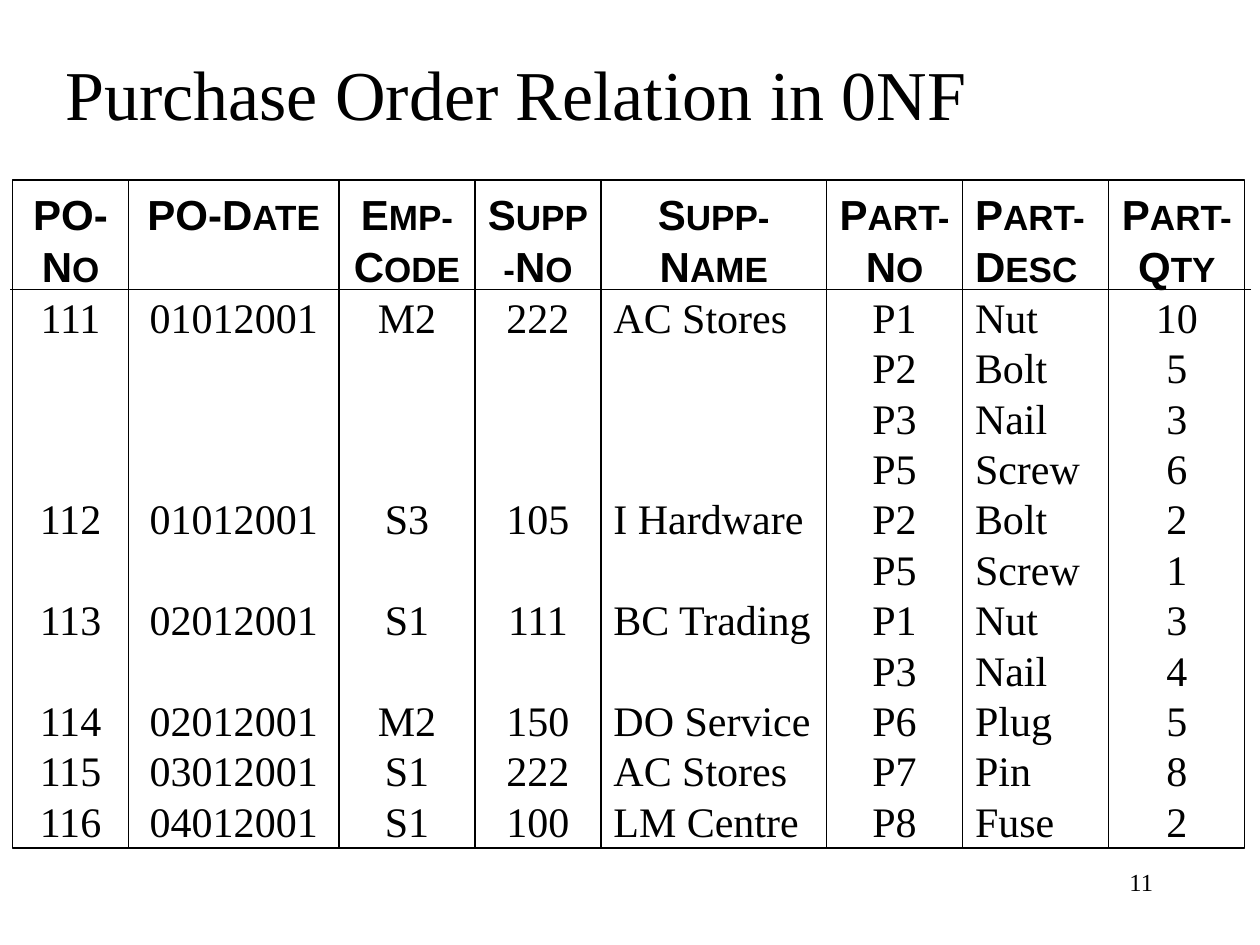
from itertools import cycle
from lxml.etree import SubElement
from pptx import Presentation
from pptx.dml.color import RGBColor
from pptx.enum.shapes import MSO_CONNECTOR as Connector, MSO_SHAPE as Shape
from pptx.enum.text import MSO_ANCHOR as Anchor, MSO_AUTO_SIZE as AutoSize, PP_ALIGN as Align
from pptx.oxml.ns import qn
from pptx.util import Inches, Pt

TITLE = "Purchase Order Relation in 0NF"
PAGE_NUMBER = "11"
BLACK = "000000"
SERIF, SANS = "Times New Roman", "Arial"
CENTER, LEFT = Align.CENTER, Align.LEFT

COLUMNS = [
    (("PO-N", "O"), 0.92, CENTER, CENTER),
    (("PO-D", "ATE"), 1.67, CENTER, CENTER),
    (("E", "MP-", "C", "ODE"), 1.08, CENTER, CENTER),
    (("S", "UPP-", "N", "O"), 1.0, CENTER, CENTER),
    (("S", "UPP-", "N", "AME"), 1.79, CENTER, LEFT),
    (("P", "ART-", "N", "O"), 1.08, CENTER, CENTER),
    (("P", "ART-", "D", "ESC"), 1.16, LEFT, LEFT),
    (("P", "ART-", "Q", "TY"), 1.08, CENTER, CENTER),
]
ONE_LINE_HEADING = ("PO-D", "ATE")
ORDERS = [
    (("111", "01012001", "M2", "222", "AC Stores"),
     [("P1", "Nut", "10"), ("P2", "Bolt", "5"), ("P3", "Nail", "3"), ("P5", "Screw", "6")]),
    (("112", "01012001", "S3", "105", "I Hardware"),
     [("P2", "Bolt", "2"), ("P5", "Screw", "1")]),
    (("113", "02012001", "S1", "111", "BC Trading"),
     [("P1", "Nut", "3"), ("P3", "Nail", "4")]),
    (("114", "02012001", "M2", "150", "DO Service"), [("P6", "Plug", "5")]),
    (("115", "03012001", "S1", "222", "AC Stores"), [("P7", "Pin", "8")]),
    (("116", "04012001", "S1", "100", "LM Centre"), [("P8", "Fuse", "2")]),
]
COLUMN_LEFT, COLUMN_TOP, COLUMN_HEIGHT = 0.1, 1.43, 5.3
RULE_TOP = 2.3
HEADING_PITCH, LINE_PITCH = 30, 28.8


def color(value):
    return RGBColor.from_string(value)


def add_span(para, text, size, font=SERIF, bold=False):
    span = para.add_run()
    span.text = text
    span.font.size = Pt(size)
    span.font.name = font
    span.font.bold = bold
    span.font.color.rgb = color(BLACK)


def add_column(page, left, column, values):
    heading, width, heading_align, align = column
    box = page.shapes.add_shape(
        Shape.RECTANGLE, *map(Inches, (left, COLUMN_TOP, width, COLUMN_HEIGHT)))
    box.shadow.inherit = False
    box.fill.background()
    box.line.color.rgb = color(BLACK)
    box.line.width = Pt(0.75)
    frame = box.text_frame
    frame.word_wrap = True
    frame.auto_size = AutoSize.NONE
    frame.vertical_anchor = Anchor.TOP

    para = frame.paragraphs[0]
    para.alignment = heading_align
    para.line_spacing = Pt(HEADING_PITCH)
    for text, size in zip(heading, cycle((24, 20))):
        add_span(para, text, size, SANS, True)

    gap = HEADING_PITCH if heading == ONE_LINE_HEADING else 0
    for value in values:
        if not value:
            gap += LINE_PITCH
            continue
        para = frame.add_paragraph()
        para.alignment = align
        para.line_spacing = Pt(LINE_PITCH)
        para.space_before = Pt(gap)
        add_span(para, value, 24)
        gap = 0


def add_columns(page):
    rows = [(order if index == 0 else ("",) * len(order)) + part
            for order, parts in ORDERS for index, part in enumerate(parts)]
    left = COLUMN_LEFT
    for column, values in zip(COLUMNS, zip(*rows)):
        add_column(page, left, column, values)
        left += column[1]


def add_header_rule(page):
    y = Inches(RULE_TOP)
    rule = page.shapes.add_connector(Connector.STRAIGHT, Inches(9.93), y, Inches(0.08), y)
    rule.line.color.rgb = color(BLACK)
    rule.line.width = Pt(0.75)
    SubElement(rule._element.spPr, qn("a:effectLst"))


def add_title(page):
    box = page.shapes.title
    box.left, box.top, box.width, box.height = map(Inches, (0.42, 0.47, 9.17, 0.53))
    box.text_frame.auto_size = AutoSize.NONE
    box.text_frame.vertical_anchor = Anchor.MIDDLE
    para = box.text_frame.paragraphs[0]
    para.alignment = LEFT
    para.space_before = Pt(12)
    add_span(para, TITLE, 40)


def add_page_number(page):
    box = page.shapes.add_textbox(*map(Inches, (7.17, 6.83, 2.08, 0.5)))
    box.text_frame.word_wrap = True
    para = box.text_frame.paragraphs[0]
    para.alignment = Align.RIGHT
    add_span(para, PAGE_NUMBER, 14)


def main():
    deck = Presentation()
    deck.slide_width, deck.slide_height = Inches(10), Inches(7.5)
    page = deck.slides.add_slide(deck.slide_layouts[5])
    add_page_number(page)
    add_title(page)
    add_columns(page)
    add_header_rule(page)
    deck.save("out.pptx")


if __name__ == "__main__":
    main()
